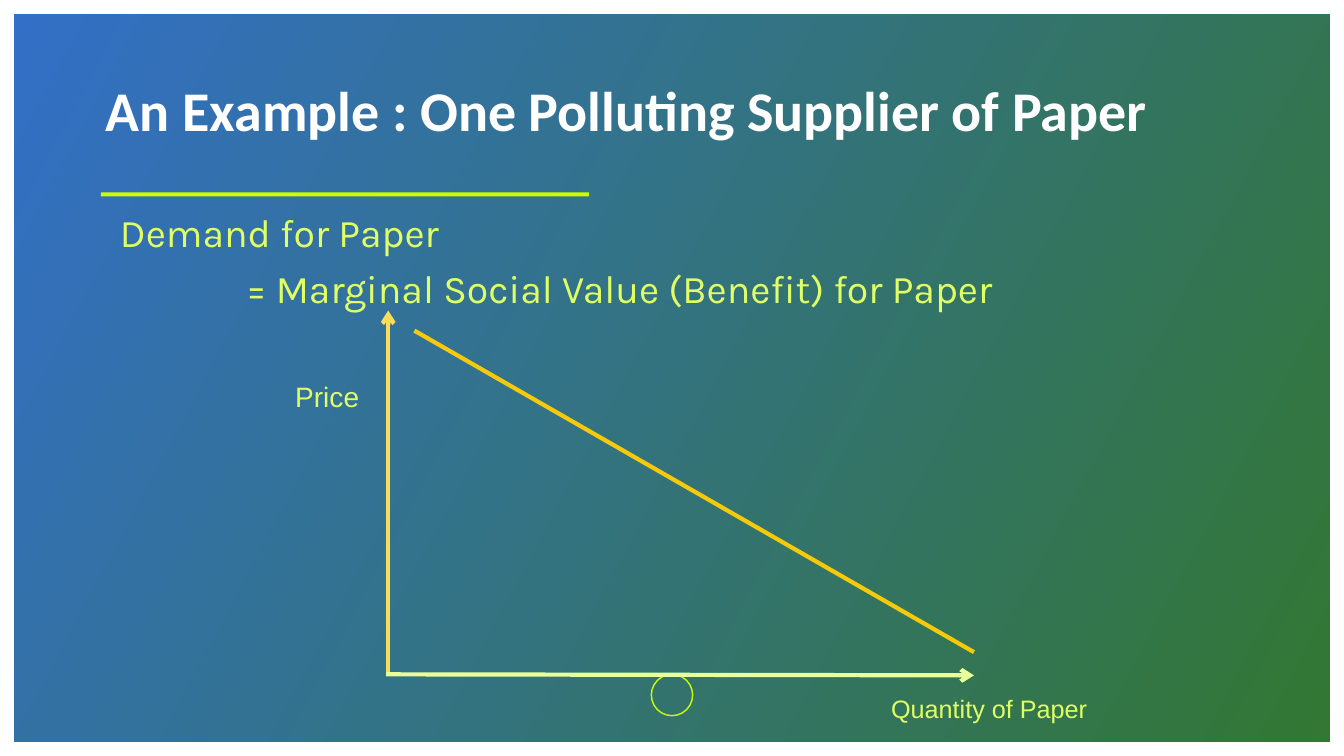
from dataclasses import dataclass

from lxml import etree
from pptx import Presentation
from pptx.dml.color import RGBColor
from pptx.enum.shapes import MSO_CONNECTOR, MSO_SHAPE
from pptx.enum.text import MSO_ANCHOR, MSO_AUTO_SIZE, PP_ALIGN
from pptx.oxml.ns import qn
from pptx.shapes.autoshape import Shape
from pptx.slide import Slide
from pptx.text.text import _Paragraph
from pptx.util import Emu, Pt

RECTANGLE, OVAL = MSO_SHAPE.RECTANGLE, MSO_SHAPE.OVAL
STRAIGHT = MSO_CONNECTOR.STRAIGHT
MIDDLE, TOP = MSO_ANCHOR.MIDDLE, MSO_ANCHOR.TOP
FIT_SHAPE, NO_FIT = MSO_AUTO_SIZE.SHAPE_TO_FIT_TEXT, MSO_AUTO_SIZE.NONE
LEFT = PP_ALIGN.LEFT

EMU_PER_PX = 9144  # 100 px to the inch
LIME, PALE_LIME = "CBFF00", "E0FF66"
GRADIENT = ("004CB9", "005500")


@dataclass(frozen=True)
class Box:
    left: int
    top: int
    width: int
    height: int


@dataclass(frozen=True)
class GraphLine:
    start: tuple[int, int]
    end: tuple[int, int]
    color: str
    arrow: bool = False


@dataclass(frozen=True)
class AxisLabel:
    text: str
    box: Box
    size: int


@dataclass(frozen=True)
class BodyLine:
    text: str
    margin: int
    indent: int
    space_before: int


TITLE_BOX = Box(95, 54, 1087, 117)
BODY_BOX = Box(109, 207, 1114, 476)
BODY_LINES = [
    BodyLine("Demand for Paper", 25, -25, 0),
    BodyLine("= Marginal Social Value (Benefit) for Paper", 125, 0, 10),
]
GRAPH_LINES = [
    GraphLine((385, 670), (385, 308), "F9DC5C", arrow=True),
    GraphLine((383, 669), (966, 670), "EAFF99", arrow=True),
    GraphLine((411, 328), (966, 647), "F6CA0A"),
]
AXIS_LABELS = [
    AxisLabel("Quantity of Paper", Box(874, 683, 280, 40), 18),
    AxisLabel("Price", Box(283, 372, 183, 44), 20),
]


def px(value: int) -> Emu:
    return Emu(value * EMU_PER_PX)


def rgb(color: str) -> RGBColor:
    return RGBColor.from_string(color)


def place(shape: Shape, box: Box) -> None:
    shape.left, shape.top = px(box.left), px(box.top)
    shape.width, shape.height = px(box.width), px(box.height)


def set_font(paragraph: _Paragraph, name: str, size: int, color: str, bold: bool = False) -> None:
    paragraph.alignment = LEFT
    font = paragraph.font
    font.name, font.size, font.bold = name, Pt(size), bold
    font.color.rgb = rgb(color)


def add_plain_shape(slide: Slide, kind: MSO_SHAPE, box: Box) -> Shape:
    """Add a shape with neither shadow, fill nor line."""
    shape = slide.shapes.add_shape(
        kind, px(box.left), px(box.top), px(box.width), px(box.height))
    shape.shadow.inherit = False
    shape.fill.background()
    shape.line.fill.background()
    return shape


def add_backdrop(slide: Slide) -> None:
    panel = add_plain_shape(slide, RECTANGLE, Box(14, 14, 1305, 722))
    panel.fill.gradient()
    panel.fill.gradient_angle = 332
    for stop, color in zip(panel.fill.gradient_stops, GRADIENT):
        stop.color.rgb = rgb(color)
    for color_element in panel.element.spPr.iter(qn("a:srgbClr")):
        etree.SubElement(color_element, qn("a:alpha"), val="80000")

    circle = add_plain_shape(slide, OVAL, Box(646, 669, 41, 41))
    circle.line.color.rgb = rgb(LIME)
    circle.line.width = Pt(1)

    title_rule = add_plain_shape(slide, RECTANGLE, Box(100, 191, 484, 4))
    title_rule.fill.solid()
    title_rule.fill.fore_color.rgb = rgb(LIME)


def fill_title(title: Shape) -> None:
    place(title, TITLE_BOX)
    frame = title.text_frame
    frame.text = "An Example : One Polluting Supplier of Paper"
    frame.vertical_anchor, frame.auto_size = MIDDLE, NO_FIT
    paragraph = frame.paragraphs[0]
    paragraph.line_spacing = 0.9
    set_font(paragraph, "Calibri", 40, "FFFFFF", bold=True)


def fill_body(body: Shape) -> None:
    place(body, BODY_BOX)
    frame = body.text_frame
    frame.text = "\n".join(line.text for line in BODY_LINES)
    frame.vertical_anchor, frame.auto_size = TOP, NO_FIT
    for paragraph, line in zip(frame.paragraphs, BODY_LINES):
        paragraph.line_spacing = 0.9
        paragraph.space_before = Pt(line.space_before)
        properties = paragraph._p.get_or_add_pPr()
        properties.set("marL", str(px(line.margin)))
        properties.set("indent", str(px(line.indent)))
        etree.SubElement(properties, qn("a:buNone"))
        set_font(paragraph, "Karla", 28, PALE_LIME)


def add_graph_line(slide: Slide, line: GraphLine) -> None:
    connector = slide.shapes.add_connector(
        STRAIGHT, *map(px, line.start), *map(px, line.end))
    connector.line.color.rgb = rgb(line.color)
    connector.line.width = Pt(3)
    if line.arrow:
        etree.SubElement(connector.line._get_or_add_ln(), qn("a:tailEnd"), type="arrow")
    etree.SubElement(connector.element.spPr, qn("a:effectLst"))


def add_axis_label(slide: Slide, label: AxisLabel) -> None:
    box = label.box
    text_box = slide.shapes.add_textbox(
        px(box.left), px(box.top), px(box.width), px(box.height))
    frame = text_box.text_frame
    frame.word_wrap, frame.auto_size = True, FIT_SHAPE
    frame.text = label.text
    set_font(frame.paragraphs[0], "Arial", label.size, PALE_LIME)


def main() -> None:
    presentation = Presentation()
    presentation.slide_width, presentation.slide_height = px(1333), px(750)
    slide = presentation.slides.add_slide(presentation.slide_layouts[1])
    title, body = slide.shapes.title, slide.placeholders[1]

    add_backdrop(slide)
    for placeholder in (title, body):
        slide.shapes.element.append(placeholder.element)  # bring in front of the backdrop
    fill_title(title)
    fill_body(body)
    for line in GRAPH_LINES:
        add_graph_line(slide, line)
    for label in AXIS_LABELS:
        add_axis_label(slide, label)

    presentation.save("out.pptx")


if __name__ == "__main__":
    main()
